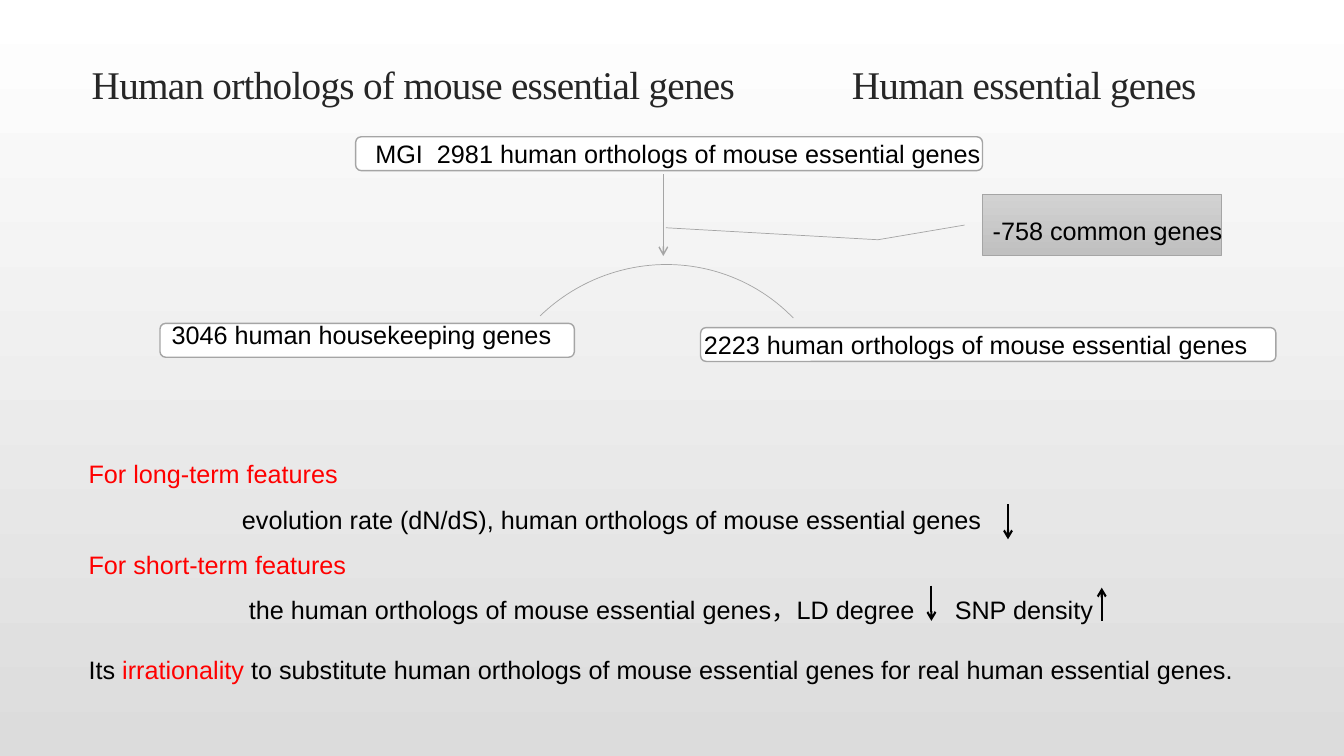
from lxml.etree import SubElement
from pptx import Presentation
from pptx.dml.color import RGBColor
from pptx.enum.shapes import MSO_CONNECTOR, MSO_SHAPE
from pptx.enum.text import MSO_ANCHOR, MSO_AUTO_SIZE, PP_ALIGN
from pptx.oxml.ns import qn
from pptx.util import Pt

BLACK, RED, GRAY, WHITE = "000000", "FF0000", "A5A5A5", "FFFFFF"


def color(hex_text):
    """Return the colour for a hex string."""
    return RGBColor.from_string(hex_text)


def set_gradient(fill, top, bottom):
    """Fill from one colour at the top to another at the bottom."""
    fill.gradient()
    fill.gradient_angle = 270
    for stop, hex_text in zip(fill.gradient_stops, (top, bottom)):
        stop.color.rgb = color(hex_text)


def add_run(paragraph, text, hex_text=BLACK, size=18, font_name="Arial"):
    """Append one formatted run and return it."""
    run = paragraph.add_run()
    run.text = text
    run.font.size = Pt(size)
    run.font.name = font_name
    run.font.color.rgb = color(hex_text)
    return run


def set_tabs(paragraph, *positions):
    """Set left tab stops, measured from the text edge."""
    tab_list = SubElement(paragraph._p.get_or_add_pPr(), qn("a:tabLst"))
    for position in positions:
        SubElement(tab_list, qn("a:tab"), pos=str(Pt(position)), algn="l")


def add_title(slide):
    """Format the title placeholder with its two headings."""
    title = slide.shapes.title
    title.left, title.top, title.width, title.height = Pt(58.3), Pt(39.6), Pt(898), Pt(41)
    frame = title.text_frame
    frame.auto_size = MSO_AUTO_SIZE.NONE
    frame.vertical_anchor = MSO_ANCHOR.TOP
    paragraph = frame.paragraphs[0]
    paragraph.alignment = PP_ALIGN.LEFT
    set_tabs(paragraph, 543)
    text = "Human orthologs of mouse essential genes\tHuman essential genes"
    run = add_run(paragraph, text, "262626", 28, "Times New Roman")
    run.font._element.set("spc", "-50")


def add_outline_shape(slide, kind, left, top, width, height, line_width):
    """Add a gray-outlined shape without fill or shadow."""
    shape = slide.shapes.add_shape(kind, Pt(left), Pt(top), Pt(width), Pt(height))
    shape.shadow.inherit = False
    shape.fill.background()
    shape.line.color.rgb = color(GRAY)
    shape.line.width = Pt(line_width)
    return shape


def add_gene_box(slide, left, top, width, text, left_inset, bottom_inset=0):
    """Add a white rounded box holding a gene count."""
    box = add_outline_shape(slide, MSO_SHAPE.ROUNDED_RECTANGLE, left, top, width, 24.2, 1)
    box.fill.solid()
    box.fill.fore_color.rgb = color(WHITE)
    frame = box.text_frame
    frame.word_wrap = True
    frame.vertical_anchor = MSO_ANCHOR.MIDDLE
    frame.margin_left, frame.margin_bottom = Pt(left_inset), Pt(bottom_inset)
    frame.margin_top = frame.margin_right = 0
    frame.paragraphs[0].alignment = PP_ALIGN.LEFT
    add_run(frame.paragraphs[0], text)


def add_text_box(slide, left, top, width, height):
    """Add a wrapping text box and return its frame."""
    box = slide.shapes.add_textbox(Pt(left), Pt(top), Pt(width), Pt(height))
    box.text_frame.word_wrap = True
    return box.text_frame


def add_callout(slide):
    """Add the callout for the genes taken out."""
    callout = add_outline_shape(slide, MSO_SHAPE.LINE_CALLOUT_2, 702, 139, 170.6, 43.2, 0.5)
    set_gradient(callout.fill, "D2D2D2", "C0C0C0")
    for index, value in enumerate((0.504, -0.076, 0.747, -0.439, 0.549, -1.327)):
        callout.adjustments[index] = value
    frame = add_text_box(slide, 702, 150.5, 208.8, 29)
    add_run(frame.paragraphs[0], "-758 common genes")


def add_arrow(slide, x, start, end, hex_text=BLACK, width=1.5):
    """Add a vertical arrow from start to end."""
    arrow = slide.shapes.add_connector(MSO_CONNECTOR.STRAIGHT, Pt(x), Pt(start), Pt(x), Pt(end))
    arrow.line.color.rgb = color(hex_text)
    arrow.line.width = Pt(width)
    SubElement(arrow.line._get_or_add_ln(), qn("a:tailEnd"), type="arrow")
    SubElement(arrow._element.spPr, qn("a:effectLst"))


def add_findings(slide):
    """Add the feature findings and the conclusion."""
    frame = add_text_box(slide, 56.2, 324, 835, 173)
    findings = [
        (1, 0, (), [("For long-term features", RED)]),
        (1.5, 0, (109.5,),
         [("\tevolution rate (dN/dS), human orthologs of mouse essential genes", BLACK)]),
        (1.5, 0, (), [("For short-term features", RED)]),
        (1.5, 0, (114.5, 618.7),
         [("\tthe human orthologs of mouse essential genes，LD degree\tSNP density", BLACK)]),
        (1, 21, (), [
            ("Its ", BLACK),
            ("irrationality ", RED),
            ("to substitute human orthologs of mouse essential genes"
             " for real human essential genes.", BLACK)]),
    ]
    for index, (spacing, before, tabs, runs) in enumerate(findings):
        paragraph = frame.add_paragraph() if index else frame.paragraphs[0]
        paragraph.line_spacing = float(spacing)
        paragraph.space_before = Pt(before)
        if tabs:
            set_tabs(paragraph, *tabs)
        for text, hex_text in runs:
            add_run(paragraph, text, hex_text)


def main():
    """Build the slide and save it."""
    presentation = Presentation()
    presentation.slide_width, presentation.slide_height = Pt(960), Pt(540)
    slide = presentation.slides.add_slide(presentation.slide_layouts[5])
    set_gradient(slide.background.fill, WHITE, "DCDCDC")
    add_title(slide)
    add_gene_box(slide, 254, 97.7, 447.8, "MGI  2981 human orthologs of mouse essential genes", 13)
    add_gene_box(slide, 114.3, 231, 296, "3046 human housekeeping genes", 7.2, 8)
    add_gene_box(slide, 500.4, 234, 411, "2223 human orthologs of mouse essential genes", 1.2)
    add_callout(slide)
    add_arrow(slide, 473.8, 124.6, 182.9, GRAY, 1)
    arc = add_outline_shape(slide, MSO_SHAPE.ARC, 345, 190, 257.8, 253.4, 0.5)
    arc.rotation = 316
    add_findings(slide)
    for x, start, end in ((720, 360, 385.2), (665.3, 418.3, 443.5), (787, 443.5, 419.8)):
        add_arrow(slide, x, start, end)
    presentation.save("out.pptx")


if __name__ == "__main__":
    main()
